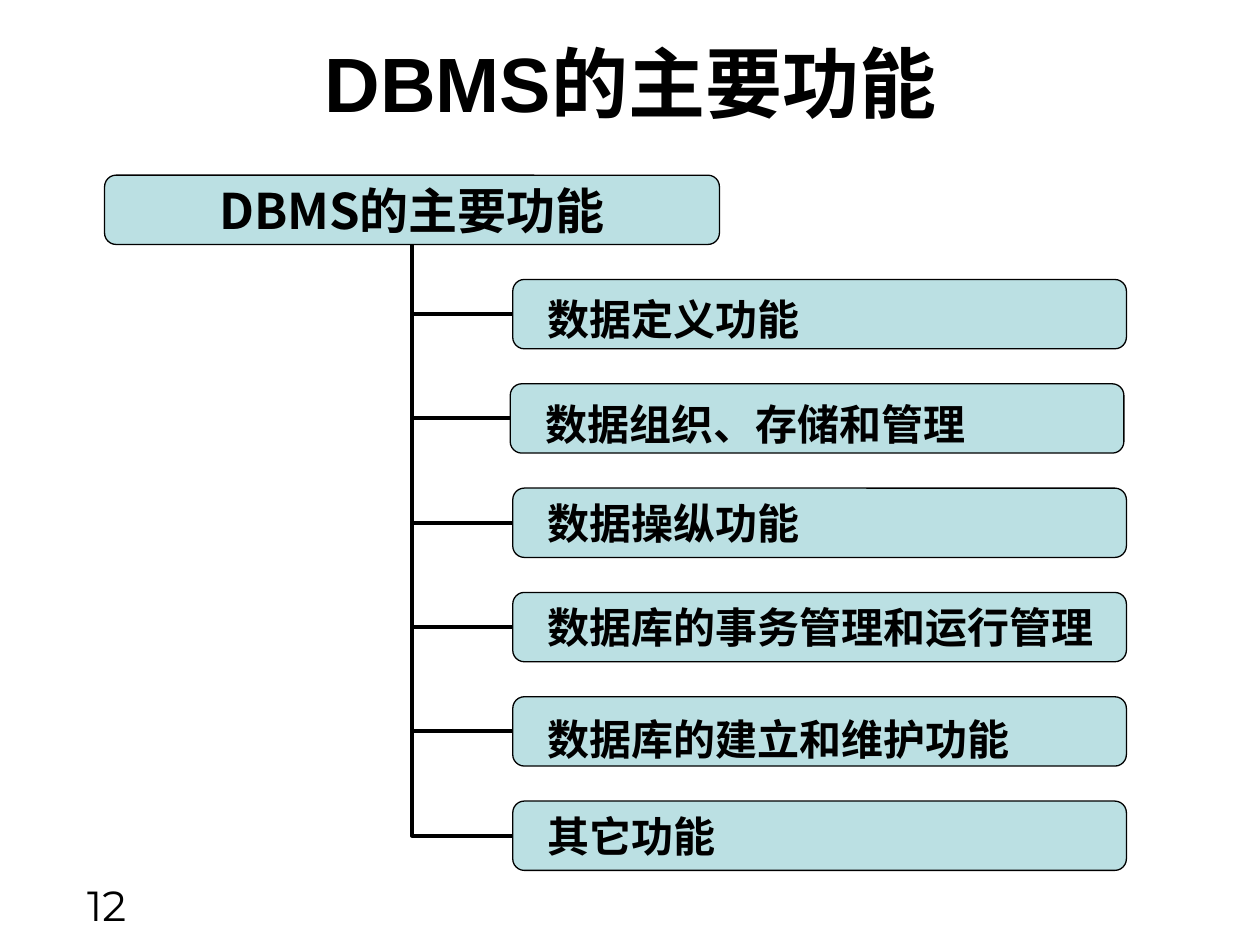
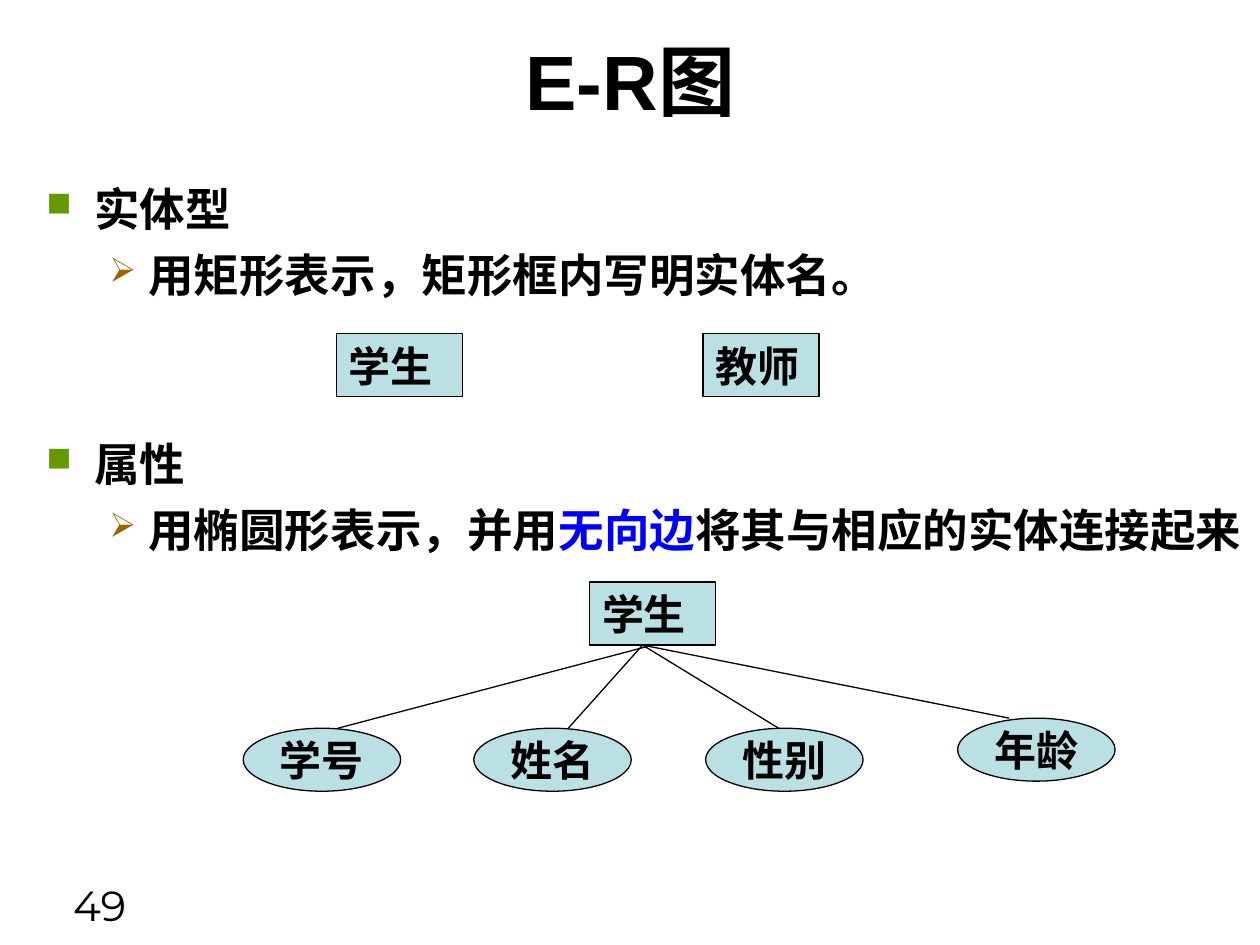
from lxml.etree import SubElement
from pptx import Presentation
from pptx.dml.color import RGBColor
from pptx.enum.lang import MSO_LANGUAGE_ID
from pptx.enum.shapes import MSO_CONNECTOR, MSO_SHAPE
from pptx.enum.text import MSO_ANCHOR, PP_ALIGN
from pptx.oxml.ns import qn
from pptx.util import Inches, Pt

COLORS = {
    "ink": "000000",
    "box": "BBE0E3",
    "emphasis": "0000FF",
    "square": "669900",
    "arrow": "996600",
}
HEADING_FONT = "Arial"
NUMBER_FONT = "Montserrat"
ROOT_FONT = "Noto Sans CJK SC"
ER_FONT = "Times New Roman"

FUNCTIONS = [  # label, line spacing, left edge within the tree
    ("数据定义功能", 1.2, 3.24),
    ("数据组织、存储和管理", 1.2, 3.22),
    ("数据操纵功能", 1.0, 3.24),
    ("数据库的事务管理和运行管理", 1.0, 3.24),
    ("数据库的建立和维护功能", 1.3, 3.24),
    ("其它功能", 1.0, 3.24),
]
ATTRIBUTES = [  # label, left and top in the diagram, edge end from the left
    ("学号", 0, 1.16, 0.75),
    ("姓名", 1.83, 1.16, 0.75),
    ("性别", 3.67, 1.16, 0.58),
    ("年龄", 5.67, 1.08, 0.41),
]
BODY = [  # level, space before, runs of text and colour
    (0, 0, [("实体型", "ink")]),
    (1, 6.5, [("用矩形表示，矩形框内写明实体名。", "ink")]),
    (0, 76.5, [("属性", "ink")]),
    (1, 6.5, [("用椭圆形表示，并用", "ink"), ("无向边", "emphasis"),
              ("将其与相应的实体连接起来", "ink")]),
]
BULLETS = [  # character, colour, left margin, hanging indent
    ("■", "square", 0.38, 0.38),
    ("➢", "arrow", 0.81, 0.31),
]


def rgb(name):
    return RGBColor.from_string(COLORS[name])


def style_run(r, size, font, bold=True, color="ink"):
    r.font.size = Pt(size)
    r.font.name = font
    r.font.bold = bold
    r.font.color.rgb = rgb(color)
    r.font.language_id = MSO_LANGUAGE_ID.SIMPLIFIED_CHINESE


def write(sp, text, size, font, align, bold=True, anchor=MSO_ANCHOR.TOP):
    tf = sp.text_frame
    tf.word_wrap = True
    tf.vertical_anchor = anchor
    p = tf.paragraphs[0]
    p.text = text
    p.alignment = align
    style_run(p.runs[0], size, font, bold)
    return p


def add_box(s, kind, x, y, w, h):
    sp = s.shapes.add_shape(kind, Inches(x), Inches(y), Inches(w), Inches(h))
    sp.shadow.inherit = False
    sp.fill.solid()
    sp.fill.fore_color.rgb = rgb("box")
    sp.line.color.rgb = rgb("ink")
    sp.line.width = Pt(0.75)
    return sp


def add_line(s, kind, x1, y1, x2, y2, width):
    line = s.shapes.add_connector(
        kind, Inches(x1), Inches(y1), Inches(x2), Inches(y2))
    line.line.color.rgb = rgb("ink")
    line.line.width = Pt(width)
    SubElement(line._element.spPr, qn("a:effectLst"))
    return line


def add_frame(prs, title, title_top, number):
    """Blank slide with the shared title and page number."""
    s = prs.slides.add_slide(prs.slide_layouts[6])
    sp = s.shapes.add_textbox(
        Inches(0.42), Inches(title_top), Inches(9.17), Inches(1))
    write(sp, title, 44, HEADING_FONT, PP_ALIGN.CENTER,
          anchor=MSO_ANCHOR.MIDDLE)
    sp = s.shapes.add_textbox(
        Inches(-0.04), Inches(6.93), Inches(1.14), Inches(0.52))
    write(sp, number, 24, NUMBER_FONT, PP_ALIGN.RIGHT, bold=False)
    return s


def add_function_tree(s, x, y):
    row_h, pitch, root_w, child_w = 0.55, 0.828, 4.88, 4.87

    # Root
    root = add_box(s, MSO_SHAPE.ROUNDED_RECTANGLE, x, y, root_w, row_h)
    write(root, "DBMS的主要功能", 28, ROOT_FONT, PP_ALIGN.CENTER,
          anchor=MSO_ANCHOR.MIDDLE)

    # Functions, each joined to the root by an elbow
    for i, (label, spacing, left) in enumerate(FUNCTIONS, 1):
        top = y + i * pitch
        sp = add_box(s, MSO_SHAPE.ROUNDED_RECTANGLE,
                     x + left, top, child_w, row_h)
        tf = sp.text_frame
        tf.margin_left = Inches(0.25)
        tf.margin_right = tf.margin_top = tf.margin_bottom = 0
        p = write(sp, label, 24, HEADING_FONT, PP_ALIGN.LEFT,
                  anchor=MSO_ANCHOR.MIDDLE)
        p.line_spacing = spacing

        elbow = add_line(s, MSO_CONNECTOR.ELBOW, x + left, top + row_h / 2,
                         x + root_w / 2, y + row_h, 2.25)
        elbow.begin_connect(sp, 1)
        elbow.end_connect(root, 2)
        geometry = elbow._element.spPr.find(qn("a:prstGeom"))
        geometry.set("prst", "bentConnector2")


def add_bullet(p, level):
    char, color, margin, hang = BULLETS[level]
    pPr = p._p.get_or_add_pPr()
    pPr.set("marL", str(Inches(margin)))
    pPr.set("indent", str(-Inches(hang)))
    SubElement(SubElement(pPr, qn("a:buClr")), qn("a:srgbClr"),
               val=COLORS[color])
    SubElement(pPr, qn("a:buSzPct"), val="75000")
    SubElement(pPr, qn("a:buChar"), char=char)


def add_body(s, x, y, w, h):
    sp = s.shapes.add_textbox(Inches(x), Inches(y), Inches(w), Inches(h))
    tf = sp.text_frame
    tf.word_wrap = True
    for i, (level, before, parts) in enumerate(BODY):
        p = tf.add_paragraph() if i else tf.paragraphs[0]
        p.level = level
        add_bullet(p, level)
        p.space_before = Pt(before)
        for text, color in parts:
            r = p.add_run()
            r.text = text
            style_run(r, 26, HEADING_FONT, color=color)


def add_entity(s, label, x, y, w):
    sp = add_box(s, MSO_SHAPE.RECTANGLE, x, y, w, 0.5)
    write(sp, label, 24, ER_FONT, PP_ALIGN.LEFT)
    return sp


def add_attribute_diagram(s, x, y):
    entity_left, entity_w, entity_h = 2.75, 1, 0.5
    entity = add_entity(s, "学生", x + entity_left, y, entity_w)

    # Attributes
    for label, left, top, _ in ATTRIBUTES:
        sp = add_box(s, MSO_SHAPE.OVAL, x + left, y + top, 1.25, 0.5)
        sp.text_frame.margin_left = sp.text_frame.margin_right = 0
        write(sp, label, 24, ER_FONT, PP_ALIGN.CENTER,
              anchor=MSO_ANCHOR.MIDDLE)

    # Undirected edges
    for i, (_, left, top, end) in enumerate(ATTRIBUTES):
        start = entity_left + (0.42 if i else entity_w / 2)
        edge = add_line(s, MSO_CONNECTOR.STRAIGHT, x + start, y + entity_h,
                        x + left + end, y + top, 0.75)
        if i == 0:
            edge.begin_connect(entity, 2)


def build_functions_slide(prs):
    s = add_frame(prs, "DBMS的主要功能", 0.15, "12")
    add_function_tree(s, 0.83, 1.39)


def build_er_slide(prs):
    s = add_frame(prs, "E-R图", 0.13, "49")
    add_body(s, 0.27, 1.39, 9.73, 4.42)
    add_entity(s, "学生", 2.67, 2.65, 1)
    add_entity(s, "教师", 5.58, 2.65, 0.92)
    add_attribute_diagram(s, 1.93, 4.62)


def main():
    prs = Presentation()
    prs.slide_width, prs.slide_height = Inches(10), Inches(7.5)
    build_functions_slide(prs)
    build_er_slide(prs)
    prs.save("out.pptx")


if __name__ == "__main__":
    main()
